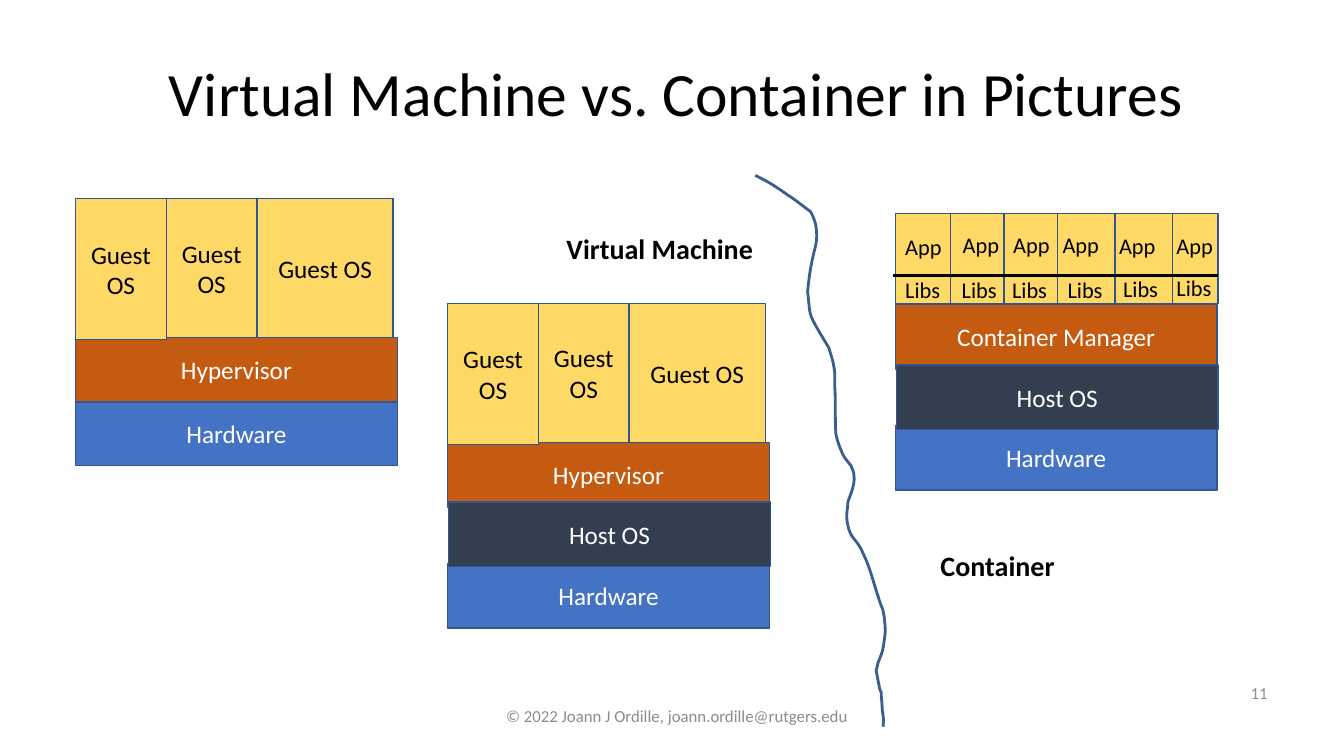
from dataclasses import dataclass

from lxml import etree
from pptx import Presentation
from pptx.dml.color import RGBColor
from pptx.enum.shapes import MSO_CONNECTOR, MSO_SHAPE
from pptx.enum.text import MSO_ANCHOR, MSO_AUTO_SIZE, PP_ALIGN
from pptx.oxml.ns import qn
from pptx.util import Inches, Pt

RECTANGLE = MSO_SHAPE.RECTANGLE
STRAIGHT = MSO_CONNECTOR.STRAIGHT
TOP, MIDDLE = MSO_ANCHOR.TOP, MSO_ANCHOR.MIDDLE
FIT_SHAPE = MSO_AUTO_SIZE.SHAPE_TO_FIT_TEXT
LEFT, CENTER, RIGHT = PP_ALIGN.LEFT, PP_ALIGN.CENTER, PP_ALIGN.RIGHT


@dataclass(frozen=True)
class Theme:
    font: str = "Calibri"
    black: str = "000000"
    white: str = "FFFFFF"
    gray: str = "8C8C8C"
    blue: str = "4472C4"
    orange: str = "C55A11"
    slate: str = "333F50"
    yellow: str = "FFD966"
    outline: str = "325491"
    divider: str = "3A5F8C"
    title: int = 44
    heading: int = 20
    layer: int = 18
    label: int = 16
    footer: int = 12


THEME = Theme()
LAYER_WIDTH, LAYER_HEIGHT = 3.19, 0.64

# Layers as (name, fill, left shift, top), drawn from back to front
BARE_METAL_LAYERS = [
    ("Hardware", THEME.blue, 0, 3.98),
    ("Hypervisor", THEME.orange, 0, 3.35),
]
HOSTED_LAYERS = [
    ("Hardware", THEME.blue, 0, 5.59),
    ("Hypervisor", THEME.orange, 0, 4.39),
    ("Host OS", THEME.slate, 0.01, 4.98),
]
CONTAINER_LAYERS = [
    ("Hardware", THEME.blue, 0, 4.22),
    ("Container Manager", THEME.orange, 0, 3.02),
    ("Host OS", THEME.slate, 0.01, 3.62),
]
# Guests as (left shift, width, height)
GUESTS = [(0, 0.9, 1.4), (0.9, 0.9, 1.38), (1.8, 1.35, 1.38)]
# Containers as (left, width), and their labels as (left, top)
CONTAINERS = [(8.88, 0.57), (9.43, 0.57), (9.96, 0.54),
              (10.49, 0.57), (11.06, 0.57), (11.63, 0.45)]
LIBS_LABELS = [(8.88, 2.69), (9.44, 2.69), (9.94, 2.69),
               (10.49, 2.69), (11.04, 2.68), (11.57, 2.67)]
APP_LABELS = [(8.88, 2.26), (9.45, 2.24), (9.95, 2.24),
              (10.44, 2.24), (11, 2.25), (11.57, 2.25)]

# Divider: cubic curves as (control, control, end)
DIVIDER_START = (7.49, 1.74)
DIVIDER_CURVES = [
    ((7.61, 1.8), (7.65, 1.82), (7.82, 1.94)),
    ((7.9, 1.99), (7.97, 2.05), (8.04, 2.1)),
    ((8.06, 2.14), (8.08, 2.18), (8.09, 2.23)),
    ((8.12, 2.4), (8.08, 2.44), (8.05, 2.61)),
    ((8.03, 2.7), (8.02, 2.8), (8.01, 2.89)),
    ((8.04, 3.14), (8.01, 3.09), (8.13, 3.3)),
    ((8.16, 3.35), (8.22, 3.45), (8.22, 3.45)),
    ((8.25, 3.55), (8.27, 3.6), (8.28, 3.71)),
    ((8.28, 3.75), (8.28, 3.8), (8.28, 3.85)),
    ((8.29, 4), (8.28, 4.15), (8.29, 4.3)),
    ((8.3, 4.37), (8.33, 4.44), (8.36, 4.51)),
    ((8.38, 4.55), (8.41, 4.58), (8.44, 4.62)),
    ((8.45, 4.65), (8.47, 4.68), (8.47, 4.72)),
    ((8.48, 4.81), (8.44, 4.89), (8.41, 4.98)),
    ((8.41, 5.04), (8.39, 5.1), (8.4, 5.16)),
    ((8.43, 5.37), (8.49, 5.32), (8.56, 5.49)),
    ((8.63, 5.63), (8.66, 5.77), (8.71, 5.92)),
    ((8.77, 6.11), (8.74, 5.97), (8.77, 6.12)),
    ((8.78, 6.24), (8.79, 6.24), (8.76, 6.42)),
    ((8.76, 6.45), (8.72, 6.55), (8.71, 6.57)),
    ((8.7, 6.6), (8.7, 6.63), (8.69, 6.65)),
    ((8.7, 6.71), (8.71, 6.76), (8.72, 6.81)),
    ((8.72, 6.83), (8.73, 6.85), (8.74, 6.87)),
    ((8.74, 6.93), (8.75, 6.98), (8.75, 7.04)),
    ((8.77, 7.17), (8.76, 7.12), (8.76, 7.21)),
]


def color(value):
    return RGBColor.from_string(value)


def write(box, text, size, ink, align, anchor, bold=False):
    frame = box.text_frame
    frame.word_wrap = True
    frame.vertical_anchor = anchor
    frame.text = text
    paragraph = frame.paragraphs[0]
    paragraph.alignment = align
    for span in paragraph.runs:
        span.font.name = THEME.font
        span.font.size = Pt(size)
        span.font.bold = bold
        span.font.color.rgb = color(ink)


def add_text(page, area, text, size, ink=THEME.black, align=CENTER):
    box = page.shapes.add_textbox(*map(Inches, area))
    write(box, text, size, ink, align, MIDDLE)


def add_label(page, area, text, size, bold=False, wrap=True):
    box = page.shapes.add_textbox(*map(Inches, area))
    write(box, text, size, THEME.black, LEFT, TOP, bold)
    box.text_frame.word_wrap = wrap
    box.text_frame.auto_size = FIT_SHAPE


def add_block(page, area, fill, text="", ink=THEME.black):
    block = page.shapes.add_shape(RECTANGLE, *map(Inches, area))
    block.shadow.inherit = False
    block.fill.solid()
    block.fill.fore_color.rgb = color(fill)
    block.line.color.rgb = color(THEME.outline)
    block.line.width = Pt(1)
    if text:
        write(block, text, THEME.layer, ink, CENTER, MIDDLE)


def add_layers(page, left, layers):
    for name, fill, shift, top in layers:
        area = (left + shift, top, LAYER_WIDTH, LAYER_HEIGHT)
        add_block(page, area, fill, name, THEME.white)


def add_guests(page, left, top):
    for shift, width, height in GUESTS:
        add_block(page, (left + shift, top, width, height), THEME.yellow, "Guest OS")


def add_containers(page):
    for left, width in CONTAINERS:
        add_block(page, (left, 2.12, width, 0.89), THEME.yellow)
    rule = page.shapes.add_connector(STRAIGHT, *map(Inches, (8.86, 2.73, 12.08, 2.73)))
    rule.line.color.rgb = color(THEME.black)
    rule.line.width = Pt(2)
    etree.SubElement(rule._element.spPr, qn("a:effectLst"))
    for text, width, corners in (("Libs", 0.56, LIBS_LABELS), ("App", 0.59, APP_LABELS)):
        for left, top in corners:
            add_label(page, (left, top, width, 0.37), text, THEME.label)


def add_divider(page):
    builder = page.shapes.build_freeform(*map(Inches, DIVIDER_START))
    ends = [tuple(map(Inches, end)) for _, _, end in DIVIDER_CURVES]
    builder.add_line_segments(ends, close=False)
    divider = builder.convert_to_shape()
    # Bend each straight segment into its cubic curve
    segments = list(divider._element.iter(qn("a:lnTo")))
    for segment, curve in zip(segments, DIVIDER_CURVES):
        bend = etree.Element(qn("a:cubicBezTo"))
        for x, y in curve:
            etree.SubElement(bend, qn("a:pt"), x=str(Inches(x) - divider.left),
                             y=str(Inches(y) - divider.top))
        segment.getparent().replace(segment, bend)
    divider.shadow.inherit = False
    divider.fill.background()
    divider.line.color.rgb = color(THEME.divider)
    divider.line.width = Pt(2)


def main():
    deck = Presentation()
    deck.slide_width, deck.slide_height = Inches(13.33), Inches(7.5)
    page = deck.slides.add_slide(deck.slide_layouts[6])

    # Title and footer
    add_text(page, (0.71, 0.29, 12, 1.25), "Virtual Machine vs. Container in Pictures",
             THEME.title)
    add_text(page, (9.56, 6.67, 3.11, 0.4), "11", THEME.footer, THEME.gray, RIGHT)
    add_text(page, (4.27, 6.9, 4.89, 0.4),
             "© 2022 Joann J Ordille, joann.ordille@rutgers.edu", THEME.footer, THEME.gray)

    # Virtual machines, on bare metal and on a host
    for left, guest_top, layers in ((0.75, 1.97, BARE_METAL_LAYERS),
                                    (4.44, 3.01, HOSTED_LAYERS)):
        add_layers(page, left, layers)
        add_guests(page, left, guest_top)

    # Containers
    add_layers(page, 8.88, CONTAINER_LAYERS)
    add_containers(page)

    # Divider and headings
    add_divider(page)
    add_label(page, (5.52, 2.25, 2.07, 0.44), "Virtual Machine", THEME.heading, True, False)
    add_label(page, (9.23, 5.39, 1.34, 0.44), "Container", THEME.heading, True, False)

    deck.save("out.pptx")


if __name__ == "__main__":
    main()
